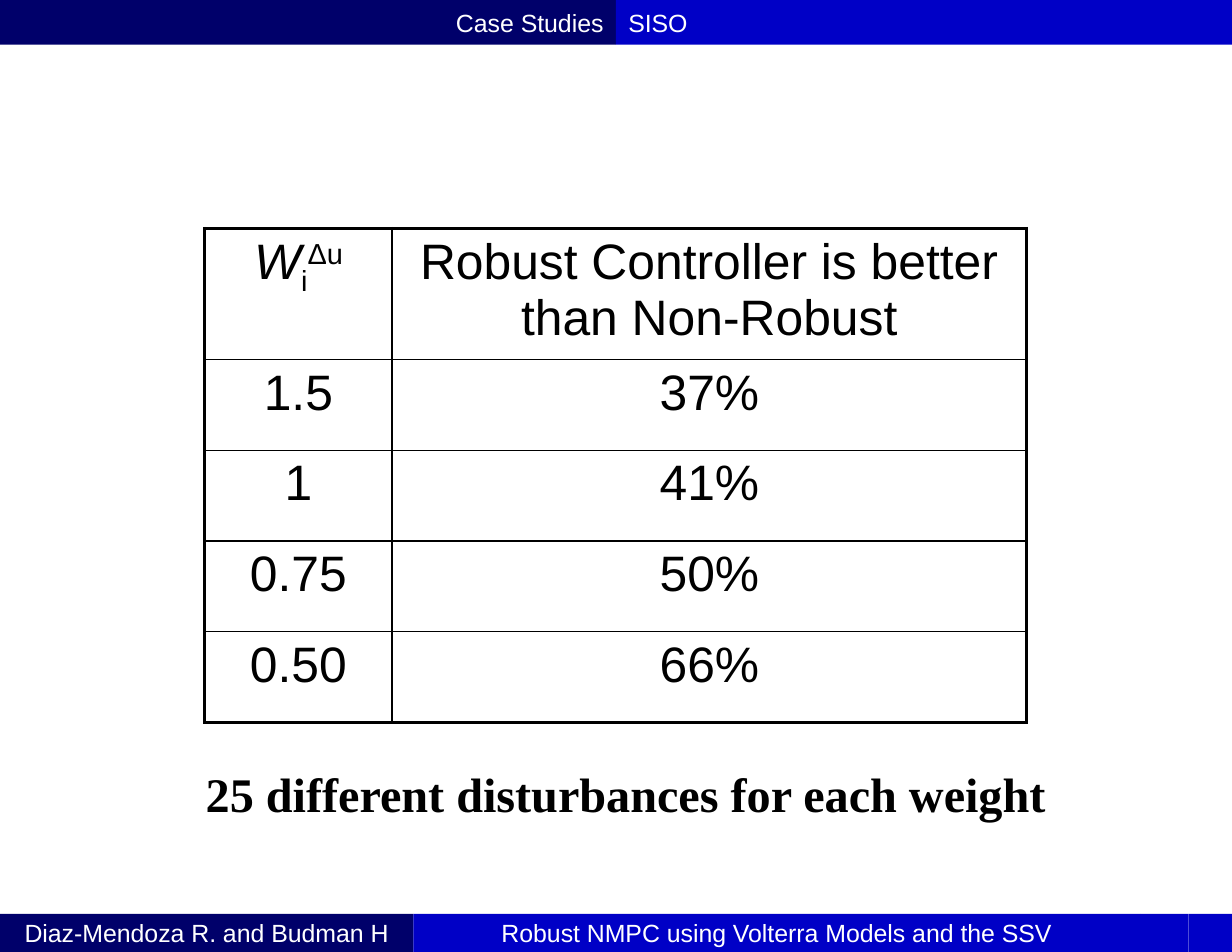
from lxml.etree import SubElement
from pptx import Presentation
from pptx.dml.color import RGBColor
from pptx.enum.shapes import MSO_SHAPE
from pptx.enum.text import MSO_ANCHOR, MSO_AUTO_SIZE, PP_ALIGN
from pptx.oxml.ns import qn
from pptx.util import Inches, Pt

NAVY, BLUE, WHITE, BLACK = "00006A", "0000C6", "FFFFFF", "000000"
BAR_FORMAT = {"size": Pt(16), "name": "Arial"}
CELL_FORMAT = {"size": Pt(32), "name": "Arial"}
CAPTION_FORMAT = {"size": Pt(31), "name": "Times New Roman", "bold": True}

# Each bar: top, height, then segments of (width, fill, text, alignment)
BARS = [
    (0, 0.4, [
        (5.5, NAVY, "Case Studies", PP_ALIGN.RIGHT),
        (5.5, BLUE, "SISO", PP_ALIGN.LEFT),
    ]),
    (8.16, 0.34, [
        (3.69, NAVY, "Diaz-Mendoza R. and Budman H", PP_ALIGN.CENTER),
        (6.49, BLUE, "Robust NMPC using Volterra Models and the SSV", PP_ALIGN.CENTER),
        (0.43, BLUE, "", PP_ALIGN.CENTER),
        (0.39, BLUE, "", PP_ALIGN.CENTER),
    ]),
]

# Each cell is a list of runs: text, run format, baseline shift in percent
WEIGHT_SYMBOL = [("W", {"italic": True}, 0), ("i", {}, -25), ("Δu", {}, 30)]
RESULTS = [("1.5", "37%"), ("1", "41%"), ("0.75", "50%"), ("0.50", "66%")]
TABLE_ROWS = [
    [WEIGHT_SYMBOL, [("Robust Controller is better than Non-Robust", {}, 0)]],
] + [[[(text, {}, 0)] for text in row] for row in RESULTS]
COLUMN_WIDTHS = [1.67, 5.67]
ROW_HEIGHTS = [1.17] + [0.81] * len(RESULTS)
OUTER_LINE, INNER_LINE = 2.25, 1

CAPTION = "25 different disturbances for each weight"


def color(hex_value):
    return RGBColor.from_string(hex_value)


def add_run(paragraph, text, font_color, formats, baseline=0):
    run = paragraph.add_run()
    run.text = text
    for name, value in formats.items():
        setattr(run.font, name, value)
    run.font.color.rgb = color(font_color)
    if baseline:
        run.font._element.set("baseline", str(baseline * 1000))


def add_bar(slide, top, height, segments):
    left = 0
    for width, fill, text, alignment in segments:
        shape = slide.shapes.add_shape(
            MSO_SHAPE.RECTANGLE, Inches(left), Inches(top), Inches(width), Inches(height))
        shape.shadow.inherit = False
        shape.fill.solid()
        shape.fill.fore_color.rgb = color(fill)
        shape.line.fill.background()
        if text:
            frame = shape.text_frame
            frame.word_wrap = False
            frame.vertical_anchor = MSO_ANCHOR.MIDDLE
            frame.margin_left = frame.margin_right = Inches(0.11)
            frame.margin_top = frame.margin_bottom = Inches(0.06)
            paragraph = frame.paragraphs[0]
            paragraph.alignment = alignment
            add_run(paragraph, text, WHITE, BAR_FORMAT)
        left += width


def set_borders(cell, widths):
    """Draw solid black borders; widths maps a side (L, R, T, B) to points."""
    properties = cell._tc.get_or_add_tcPr()
    for position, (side, width) in enumerate(widths.items()):
        line = properties.makeelement(qn(f"a:ln{side}"), {"w": str(Pt(width))})
        fill = SubElement(line, qn("a:solidFill"))
        SubElement(fill, qn("a:srgbClr"), val=BLACK)
        properties.insert(position, line)


def add_results_table(slide):
    row_count, column_count = len(ROW_HEIGHTS), len(COLUMN_WIDTHS)
    table = slide.shapes.add_table(
        row_count, column_count, Inches(1.83), Inches(2.04),
        Inches(sum(COLUMN_WIDTHS)), Inches(sum(ROW_HEIGHTS))).table
    table.first_row = table.horz_banding = False
    for column, width in zip(table.columns, COLUMN_WIDTHS):
        column.width = Inches(width)
    for row, height in zip(table.rows, ROW_HEIGHTS):
        row.height = Inches(height)

    for row_index, row in enumerate(TABLE_ROWS):
        for column_index, runs in enumerate(row):
            cell = table.cell(row_index, column_index)
            cell.fill.background()
            paragraph = cell.text_frame.paragraphs[0]
            paragraph.alignment = PP_ALIGN.CENTER
            for text, formats, baseline in runs:
                add_run(paragraph, text, BLACK, CELL_FORMAT | formats, baseline)
            on_edge = {
                "L": column_index == 0,
                "R": column_index == column_count - 1,
                "T": row_index == 0,
                "B": row_index == row_count - 1,
            }
            set_borders(cell, {side: OUTER_LINE if outer else INNER_LINE
                               for side, outer in on_edge.items()})


def add_caption(slide):
    frame = slide.shapes.add_textbox(
        Inches(1.69), Inches(6.77), Inches(7.79), Inches(0.62)).text_frame
    frame.word_wrap = False
    frame.auto_size = MSO_AUTO_SIZE.SHAPE_TO_FIT_TEXT
    paragraph = frame.paragraphs[0]
    paragraph.alignment = PP_ALIGN.CENTER
    add_run(paragraph, CAPTION, BLACK, CAPTION_FORMAT)


def main():
    presentation = Presentation()
    presentation.slide_width = Inches(11)
    presentation.slide_height = Inches(8.5)
    slide = presentation.slides.add_slide(presentation.slide_layouts[6])
    for top, height, segments in BARS:
        add_bar(slide, top, height, segments)
    add_results_table(slide)
    add_caption(slide)
    presentation.save("out.pptx")


if __name__ == "__main__":
    main()
